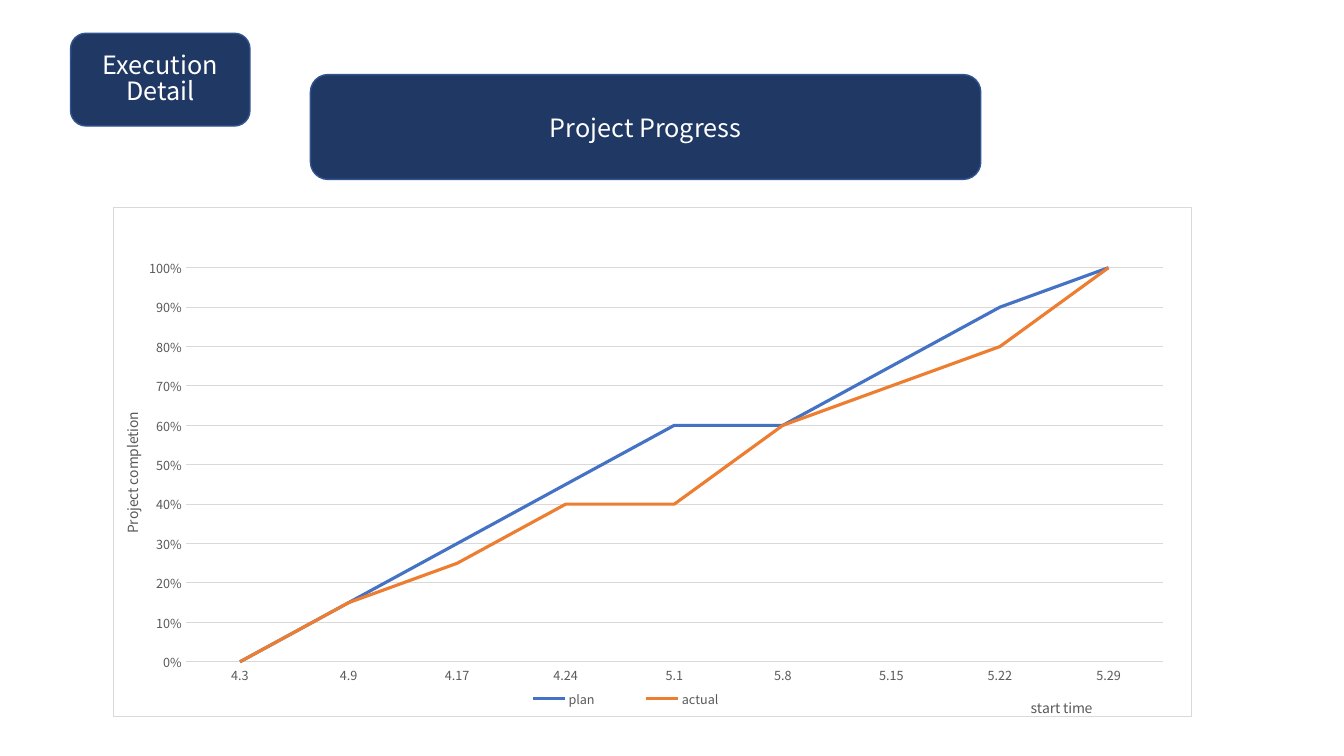
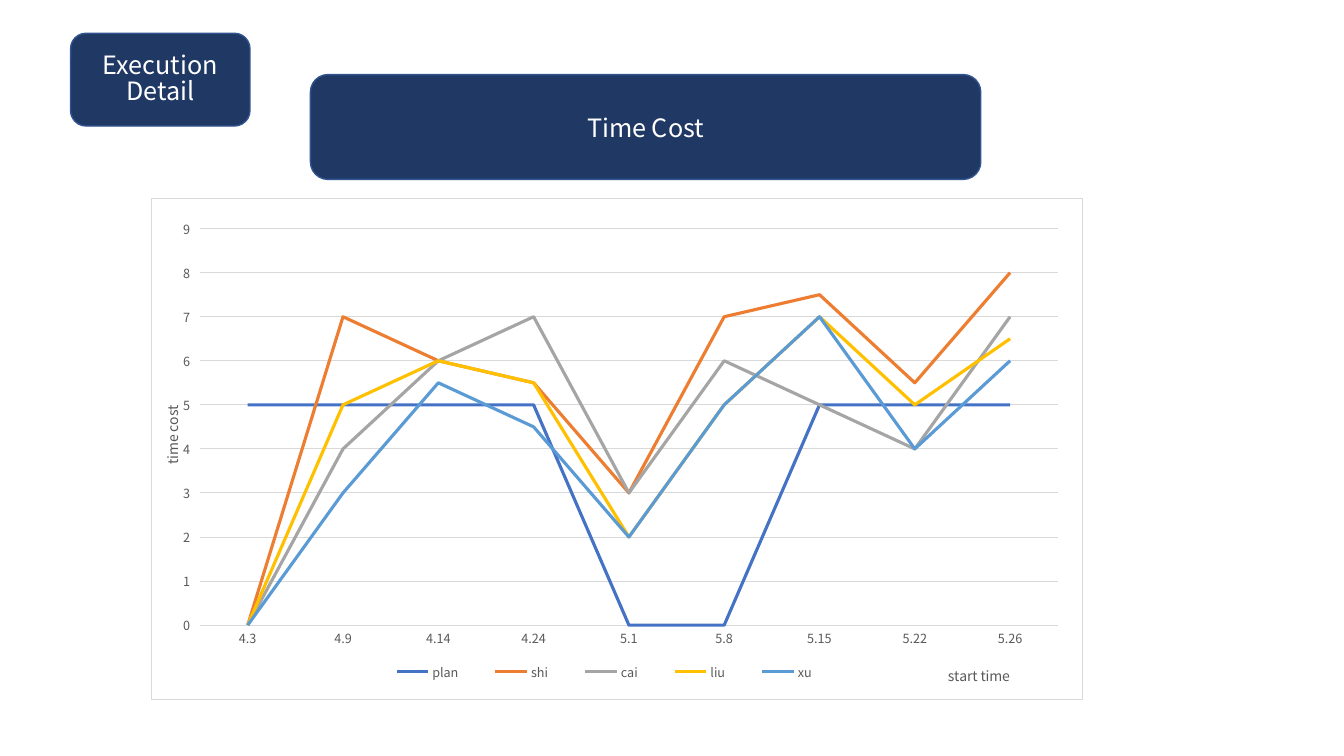
import pptx
import pptx.chart.data
import pptx.dml.color
import pptx.enum.chart
import pptx.enum.shapes
import pptx.enum.text
import pptx.oxml
import pptx.oxml.ns
import pptx.util

WIDE, HIGH = pptx.util.Inches(13.333), pptx.util.Inches(7.5)
FACE = "Noto Sans CJK SC"
NAVY, EDGE, WHITE = "203864", "325491", "FFFFFF"
GRAY, RULE = "595959", "D9D9D9"
LINES = ["4472C4", "ED7D31", "A5A5A5", "FFC000", "5B9BD5"]

# Boxes are left, top, width, height in percent of the slide;
# parts of a chart are placed in percent of the chart.
TAG = (5.25, 4.4, 13.35, 12.27)
BANNER = (23.1, 9.87, 49.88, 13.87)

PLANS = [
    {
        "title": "Project Progress",
        "box": (8.4, 27.33, 80.33, 68.13),
        "days": ["4.3", "4.9", "4.17", "4.24", "5.1", "5.8", "5.15", "5.22", "5.29"],
        "data": {
            "plan": [0, 0.15, 0.3, 0.45, 0.6, 0.6, 0.75, 0.9, 1],
            "actual": [0, 0.15, 0.25, 0.4, 0.4, 0.6, 0.7, 0.8, 1],
        },
        "format": "0%",
        "scale": {"minimum_scale": 0, "maximum_scale": 1, "major_unit": 0.1},
        "tick": "NONE",
        "label": "Project completion",
        "spots": {
            "c:plotArea": (6.7, 11.9, 90.6, 77.3),
            "c:catAx/c:title": (84.8, 95.4),
            "c:valAx/c:title": (0.5, 39.9),
            "c:legend": (34.5, 93.9, 26, 5),
        },
    },
    {
        "title": "Time Cost",
        "box": (11.25, 26.13, 69.3, 66.53),
        "days": ["4.3", "4.9", "4.14", "4.24", "5.1", "5.8", "5.15", "5.22", "5.26"],
        "data": {
            "plan": [5, 5, 5, 5, 0, 0, 5, 5, 5],
            "shi": [0, 7, 6, 5.5, 3, 7, 7.5, 5.5, 8],
            "cai": [0, 4, 6, 7, 3, 6, 5, 4, 7],
            "liu": [0, 5, 6, 5.5, 2, 5, 7, 5, 6.5],
            "xu": [0, 3, 5.5, 4.5, 2, 5, 7, 4, 6],
        },
        "format": "General",
        "scale": {"minimum_scale": 0, "maximum_scale": 9, "major_unit": 1},
        "tick": "OUTSIDE",
        "label": "time cost",
        "spots": {
            "c:plotArea": (5.2, 6.1, 92.2, 79),
            "c:catAx/c:title": (85.3, 92.3),
            "c:valAx/c:title": (0.7, 40.8),
            "c:legend": (22.8, 91.8, 51.7, 5),
        },
    },
]


def tint(code):
    return pptx.dml.color.RGBColor.from_string(code)


def place(box):
    """Turn percent of the slide into lengths."""
    return [int(side * part / 100) for side, part in zip((WIDE, HIGH) * 2, box)]


def assign(thing, values):
    for name, value in values.items():
        setattr(thing, name, value)


def style(font, size, code):
    assign(font, {"name": FACE, "size": pptx.util.Pt(size), "bold": False})
    font.color.rgb = tint(code)


def stroke(line, code, width):
    line.color.rgb = tint(code)
    line.width = pptx.util.Pt(width)


def add_label(slide, text, box, gap=1.0):
    """Add a navy rounded box with centred text."""
    kind = pptx.enum.shapes.MSO_SHAPE.ROUNDED_RECTANGLE
    shape = slide.shapes.add_shape(kind, *place(box))
    shape.shadow.inherit = False
    shape.fill.solid()
    shape.fill.fore_color.rgb = tint(NAVY)
    stroke(shape.line, EDGE, 1)
    frame = shape.text_frame
    assign(frame, {
        "text": text,
        "word_wrap": True,
        "vertical_anchor": pptx.enum.text.MSO_ANCHOR.MIDDLE,
    })
    for para in frame.paragraphs:
        assign(para, {
            "alignment": pptx.enum.text.PP_ALIGN.CENTER,
            "line_spacing": gap,
        })
        style(para.font, 18, WHITE)


def pin(node, spot):
    """Give a part of the chart a fixed place."""
    inner = '<c:layoutTarget val="inner"/>' if node.tag.endswith("plotArea") else ""
    keys = ["x", "y", "w", "h"][:len(spot)]
    modes = "".join(f'<c:{key}Mode val="edge"/>' for key in keys[:2])
    sizes = "".join(f'<c:{key} val="{part / 100:.3f}"/>' for key, part in zip(keys, spot))
    layout = pptx.oxml.parse_xml(
        f'<c:layout {pptx.oxml.ns.nsdecls("c")}><c:manualLayout>'
        f"{inner}{modes}{sizes}</c:manualLayout></c:layout>")
    for old in node.xpath("./c:layout"):
        node.remove(old)
    after = node.xpath("./c:overlay")
    if after:
        after[0].addprevious(layout)
    else:
        node.insert(0, layout)


def frame_chart(root):
    """Fill the chart area white with a thin gray border."""
    fills = [f'<a:solidFill><a:srgbClr val="{code}"/></a:solidFill>' for code in (WHITE, RULE)]
    root.xpath("./c:chart")[0].addnext(pptx.oxml.parse_xml(
        f'<c:spPr {pptx.oxml.ns.nsdecls("c", "a")}>{fills[0]}'
        f'<a:ln w="{pptx.util.Pt(0.75)}">{fills[1]}</a:ln></c:spPr>'))


def set_axis(axis, label, tick):
    marks = pptx.enum.chart.XL_TICK_MARK
    assign(axis, {"major_tick_mark": marks[tick], "minor_tick_mark": marks.NONE})
    style(axis.tick_labels.font, 9, GRAY)
    frame = axis.axis_title.text_frame
    frame.text = label
    style(frame.paragraphs[0].runs[0].font, 10, GRAY)


def add_chart(slide, plan):
    data = pptx.chart.data.CategoryChartData(number_format=plan["format"])
    data.categories = plan["days"]
    for name, values in plan["data"].items():
        data.add_series(name, values)
    kind = pptx.enum.chart.XL_CHART_TYPE.LINE
    chart = slide.shapes.add_chart(kind, *place(plan["box"]), data).chart
    assign(chart, {"has_title": False, "has_legend": True})
    style(chart.font, 10, GRAY)
    chart.plots[0].vary_by_categories = False
    for series, code in zip(chart.plots[0].series, LINES):
        series.smooth = False
        series.marker.style = pptx.enum.chart.XL_MARKER_STYLE.NONE
        stroke(series.format.line, code, 2.25)

    set_axis(chart.category_axis, "start time", "NONE")
    stroke(chart.category_axis.format.line, RULE, 0.75)
    axis = chart.value_axis
    set_axis(axis, plan["label"], plan["tick"])
    assign(axis, plan["scale"])
    assign(axis.tick_labels, {"number_format": plan["format"], "number_format_is_linked": False})
    axis.format.line.fill.background()
    stroke(axis.major_gridlines.format.line, RULE, 0.75)

    assign(chart.legend, {
        "position": pptx.enum.chart.XL_LEGEND_POSITION.BOTTOM,
        "include_in_layout": False,
    })
    style(chart.legend.font, 9, GRAY)

    root = chart._chartSpace
    frame_chart(root)
    for part, spot in plan["spots"].items():
        pin(root.xpath(f".//{part}")[0], spot)
    body = root.xpath(".//c:valAx/c:title//a:bodyPr")[0]
    body.set("rot", "-5400000")
    body.set("vert", "horz")


def main():
    deck = pptx.Presentation()
    assign(deck, {"slide_width": WIDE, "slide_height": HIGH})
    for plan in PLANS:
        slide = deck.slides.add_slide(deck.slide_layouts[6])
        add_label(slide, "Execution\nDetail", TAG, 0.85)
        add_label(slide, plan["title"], BANNER)
        add_chart(slide, plan)
    deck.save("out.pptx")


if __name__ == "__main__":
    main()
